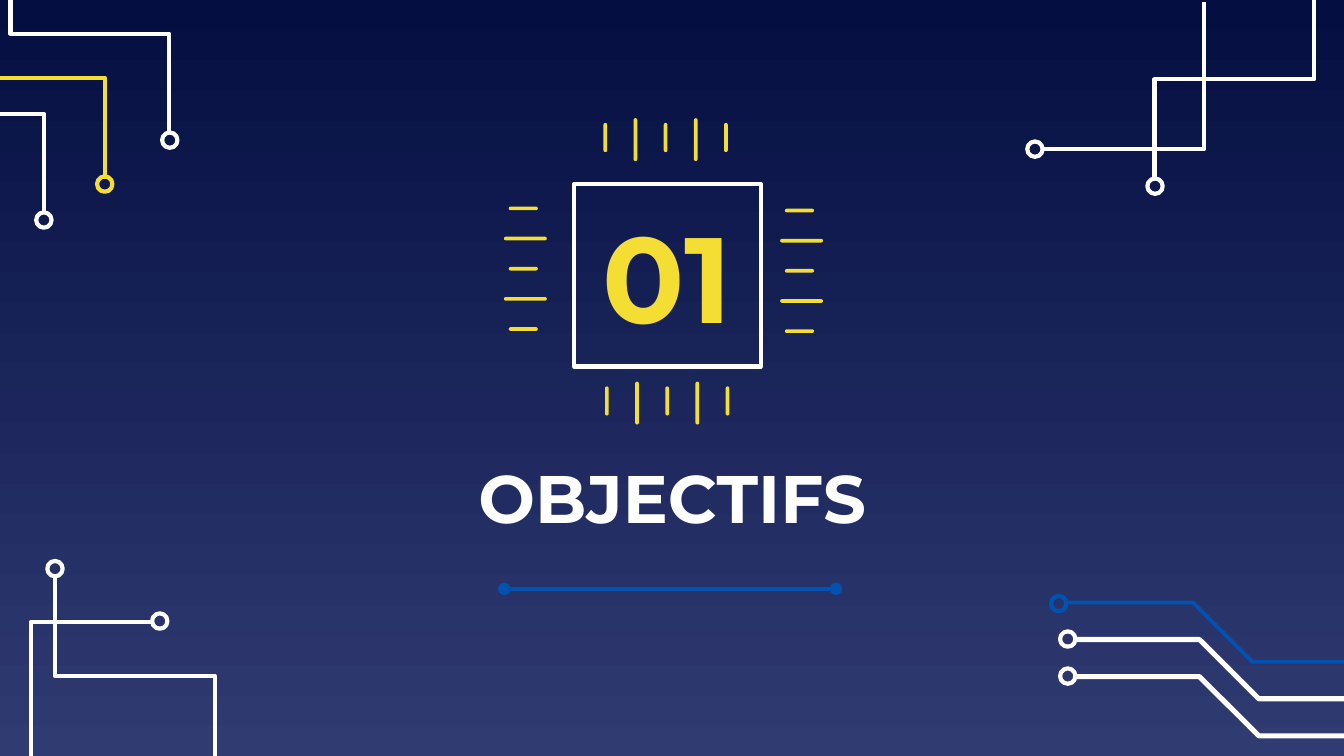
from dataclasses import dataclass

import lxml.etree
import pptx
import pptx.dml.color
import pptx.enum.shapes
import pptx.enum.text
import pptx.oxml.ns
import pptx.util

Cm = pptx.util.Cm
Pt = pptx.util.Pt
qn = pptx.oxml.ns.qn
SHAPE = pptx.enum.shapes.MSO_SHAPE


@dataclass(frozen=True)
class Theme:
    font: str = "Montserrat"
    white: str = "FFFFFF"
    yellow: str = "F5DE34"
    blue: str = "0152B1"
    top: str = "040E41"
    bottom: str = "303B72"
    title_size: float = 36
    number_size: float = 65
    stroke: float = 2.25
    thin: float = 2
    thick: float = 2.75


def rgb(value):
    return pptx.dml.color.RGBColor.from_string(value)


class CircuitSlide:
    def __init__(self, prs, theme):
        self.theme = theme
        self.s = prs.slides.add_slide(prs.slide_layouts[5])

    def background(self):
        fill = self.s.background.fill
        fill.gradient()
        fill.gradient_angle = 270
        for stop, color in zip(fill.gradient_stops, (self.theme.top, self.theme.bottom)):
            stop.color.rgb = rgb(color)

    def outline(self, sp, color, width):
        sp.shadow.inherit = False
        sp.fill.background()
        sp.line.color.rgb = rgb(color)
        sp.line.width = Pt(width)

    def text(self, sp, text, size, color):
        tf = sp.text_frame
        tf.text = text
        tf.word_wrap = True
        tf.auto_size = pptx.enum.text.MSO_AUTO_SIZE.NONE
        tf.vertical_anchor = pptx.enum.text.MSO_ANCHOR.MIDDLE
        tf.margin_left = tf.margin_right = tf.margin_top = tf.margin_bottom = Cm(0.25)
        p = tf.paragraphs[0]
        p.alignment = pptx.enum.text.PP_ALIGN.CENTER
        font = p.runs[0].font
        font.name, font.size, font.bold = self.theme.font, Pt(size), True
        font.color.rgb = rgb(color)

    def title(self, text, left, top, width, height):
        sp = self.s.shapes.title
        sp.left, sp.top, sp.width, sp.height = Cm(left), Cm(top), Cm(width), Cm(height)
        self.text(sp, text, self.theme.title_size, self.theme.white)

    def chip(self, number, left, top, width, height):
        sp = self.s.shapes.add_shape(SHAPE.RECTANGLE, Cm(left), Cm(top), Cm(width), Cm(height))
        self.outline(sp, self.theme.white, self.theme.stroke)
        self.text(sp, number, self.theme.number_size, self.theme.yellow)

    def trace(self, points, node, color, width):
        start, *rest = [(Cm(x), Cm(y)) for x, y in points]
        builder = self.s.shapes.build_freeform(*start)
        builder.add_line_segments(rest, close=False)
        self.outline(builder.convert_to_shape(), color, width)
        size = 0.29
        x, y = node
        sp = self.s.shapes.add_shape(
            SHAPE.OVAL, Cm(x - size / 2), Cm(y - size / 2), Cm(size), Cm(size))
        self.outline(sp, color, self.theme.stroke)

    def pin(self, x, y, width, height):
        sp = self.s.shapes.add_shape(
            SHAPE.ROUNDED_RECTANGLE, Cm(x - width / 2), Cm(y - height / 2), Cm(width), Cm(height))
        sp.adjustments[0] = 0.5
        sp.shadow.inherit = False
        sp.fill.solid()
        sp.fill.fore_color.rgb = rgb(self.theme.yellow)
        sp.line.fill.background()

    def pins(self, x, y, vertical):
        pitch, thickness = 0.57, 0.07
        for i in range(5):
            length, shift = (0.81, 0.04) if i % 2 else (0.55, 0)
            if vertical:
                self.pin(x + i * pitch, y + shift, thickness, length)
            else:
                self.pin(x + shift, y + i * pitch, length, thickness)

    def divider(self, x1, x2, y):
        cn = self.s.shapes.add_connector(
            pptx.enum.shapes.MSO_CONNECTOR.STRAIGHT, Cm(x1), Cm(y), Cm(x2), Cm(y))
        cn.line.color.rgb = rgb(self.theme.blue)
        cn.line.width = Pt(self.theme.stroke)
        spPr = cn._element.spPr
        for end in ("a:headEnd", "a:tailEnd"):
            lxml.etree.SubElement(spPr.find(qn("a:ln")), qn(end), type="oval")
        lxml.etree.SubElement(spPr, qn("a:effectLst"))


def main():
    prs = pptx.Presentation()
    right, bottom = 25.4, 14.29
    prs.slide_width, prs.slide_height = Cm(right), Cm(bottom)
    theme = Theme()
    slide = CircuitSlide(prs, theme)
    slide.background()

    for x, y, node, color, width in (
        (20.19, 11.39, (20.01, 11.41), theme.blue, theme.thin),
        (20.31, 12.09, (20.18, 12.08), theme.white, theme.thick),
        (20.31, 12.79, (20.18, 12.78), theme.white, theme.thick),
    ):
        bend = x + 2.36
        points = [(x, y), (bend, y), (bend + 1.12, y + 1.12), (right, y + 1.12)]
        slide.trace(points, node, color, width)

    for points, node, color in (
        ([(1.04, 10.87), (1.04, 12.78), (4.06, 12.78), (4.06, bottom)], (1.04, 10.75), theme.white),
        ([(2.87, 11.76), (0.58, 11.76), (0.58, bottom)], (3.02, 11.74), theme.white),
        ([(19.69, 2.82), (22.76, 2.82), (22.76, 0.03)], (19.56, 2.82), theme.white),
        ([(21.82, 3.38), (21.82, 1.5), (24.84, 1.5), (24.84, 0)], (21.83, 3.52), theme.white),
        ([(0.84, 4.04), (0.84, 2.16), (0, 2.16)], (0.83, 4.16), theme.white),
        ([(1.98, 3.38), (1.98, 1.47), (0, 1.47)], (1.98, 3.48), theme.yellow),
        ([(3.2, 2.54), (3.2, 0.64), (0.2, 0.64), (0.2, 0)], (3.21, 2.65), theme.white),
    ):
        slide.trace(points, node, color, theme.stroke)

    slide.title("OBJECTIFS", 6.81, 8.53, 11.79, 1.7)
    slide.chip("01", 10.85, 3.48, 3.53, 3.45)
    slide.divider(9.53, 15.8, 11.13)

    for x, y, vertical in (
        (9.89, 3.94, False),
        (15.11, 3.98, False),
        (11.44, 2.6, True),
        (11.47, 7.58, True),
    ):
        slide.pins(x, y, vertical)

    prs.save("out.pptx")


if __name__ == "__main__":
    main()
